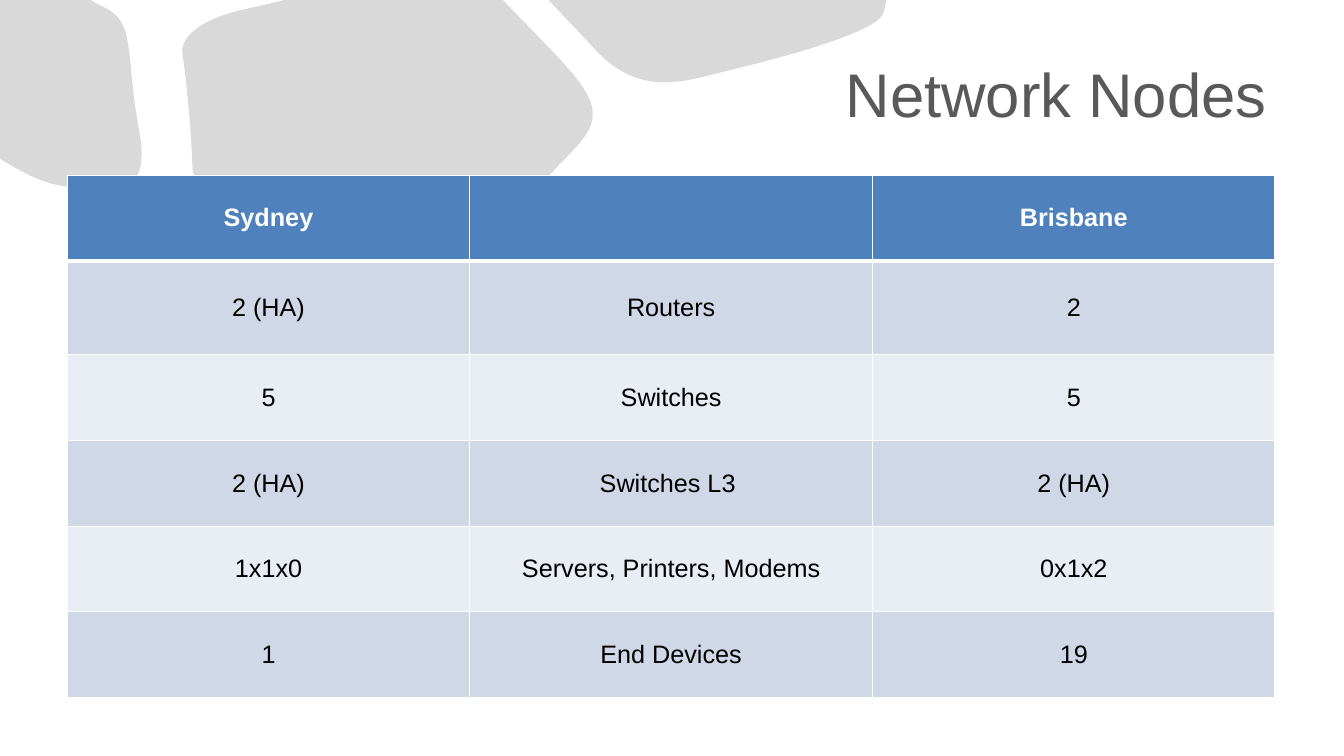
from lxml import etree
from pptx import Presentation, util as u
from pptx.dml.color import RGBColor
from pptx.enum import text
from pptx.oxml.ns import qn

COLORS = {"stone": "D9D9D9", "title": "595959", "header": "4F81BD", "white": "FFFFFF",
          "band": "D0D8E8", "pale": "E9EDF4", "body": "000000"}
UNITS = 1000  # outline units per inch

deck = Presentation()
deck.slide_width, deck.slide_height = u.Inches(13.33), u.Inches(7.5)
slide = deck.slides.add_slide(deck.slide_layouts[6])


def write(frame, words, size, color, align, bold=False):
    paragraph = frame.paragraphs[0]
    paragraph.alignment = align
    run = paragraph.add_run()
    run.text = words
    run.font.name, run.font.size, run.font.bold = "Arial", u.Pt(size), bold
    run.font.color.rgb = RGBColor.from_string(COLORS[color])


# Background stones: two numbers are a straight side, six are a curve
stones = [
    [(5.44, 0), (5.57, 0.14, 5.73, 0.3, 5.91, 0.5), (6.37, 0.98, 6.8, 0.8, 7.26, 0.69),
     (7.76, 0.57, 8.7, 0.32, 8.76, 0.13), (8.77, 0.1, 8.78, 0.06, 8.79, 0)],
    [(1.1, 0.11), (1.05, 0.08, 0.98, 0.05, 0.9, 0), (-0.03, 0), (-0.03, 1.56),
     (0.22, 1.7, 0.49, 1.89, 0.86, 1.85), (1.16, 1.82, 1.5, 1.97, 1.38, 1.29),
     (1.25, 0.62, 1.34, 0.27, 1.1, 0.11)],
    [(4.99, 0), (2.82, 0), (2.67, 0.04, 2.52, 0.07, 2.39, 0.1),
     (1.93, 0.21, 1.79, 0.4, 1.81, 0.53), (1.86, 0.86, 1.9, 1.37, 1.91, 1.66),
     (1.92, 1.91, 2.2, 2.01, 2.46, 2.11), (2.69, 2.2, 3.71, 2.54, 3.94, 2.62),
     (3.94, 2.62, 4.45, 2.85, 4.74, 2.54), (5.03, 2.22, 5.35, 1.83, 5.62, 1.56),
     (5.85, 1.32, 5.99, 1.16, 5.77, 0.85), (5.65, 0.66, 5.23, 0.26, 4.99, 0)],
]
for corners in stones:
    ends = [(round(c[-2] * UNITS), round(c[-1] * UNITS)) for c in corners]
    builder = slide.shapes.build_freeform(*ends[0], scale=u.Inches(1) / UNITS)
    builder.add_line_segments(ends[1:], close=True)
    stone = builder.convert_to_shape()
    stone.shadow.inherit = False
    stone.fill.solid()
    stone.fill.fore_color.rgb = RGBColor.from_string(COLORS["stone"])
    stone.line.fill.background()
    # Bend the curved sides
    left, top = min(x for x, y in ends), min(y for x, y in ends)
    sides = list(stone._element.iter(qn("a:lnTo")))
    for side, corner in zip(sides, corners[1:]):
        if len(corner) == 6:
            curve = etree.Element(qn("a:cubicBezTo"))
            for x, y in zip(corner[::2], corner[1::2]):
                etree.SubElement(curve, qn("a:pt"), x=str(round(x * UNITS) - left),
                                 y=str(round(y * UNITS) - top))
            side.getparent().replace(side, curve)

# Title
margin = deck.slide_width // 20
title = slide.shapes.add_textbox(margin, u.Inches(0.3), u.Inches(12), u.Inches(1.25))
title.text_frame.word_wrap = True
title.text_frame.vertical_anchor = text.MSO_ANCHOR.MIDDLE
write(title.text_frame, "Network Nodes", 44, "title", text.PP_ALIGN.RIGHT)

# Node table
nodes = [
    ("Sydney", "", "Brisbane"),
    ("2 (HA)", "Routers", "2"),
    ("5", "Switches", "5"),
    ("2 (HA)", "Switches L3 ", "2 (HA)"),
    ("1x1x0", "Servers, Printers, Modems", "0x1x2"),
    ("1", "End Devices", "19"),
]
row_heights = [0.85, 0.93, 0.85, 0.85, 0.85, 0.85]
table = slide.shapes.add_table(len(nodes), 3, margin, u.Inches(1.74), u.Inches(11.98),
                               u.Inches(sum(row_heights))).table
for row, (values, height) in enumerate(zip(nodes, row_heights)):
    table.rows[row].height = u.Inches(height)
    fill = "header" if row == 0 else ("pale", "band")[row % 2]
    for column, value in enumerate(values):
        cell = table.cell(row, column)
        cell.vertical_anchor = text.MSO_ANCHOR.MIDDLE
        # White rules, thicker below the header
        properties = cell._tc.get_or_add_tcPr()
        for edge in ("lnL", "lnR", "lnT", "lnB"):
            thick = (row, edge) in ((0, "lnB"), (1, "lnT"))
            rule = etree.SubElement(properties, qn(f"a:{edge}"), w=str(u.Pt(3 if thick else 1)))
            paint = etree.SubElement(rule, qn("a:solidFill"))
            etree.SubElement(paint, qn("a:srgbClr"), val=COLORS["white"])
        cell.fill.solid()
        cell.fill.fore_color.rgb = RGBColor.from_string(COLORS[fill])
        if value:
            write(cell.text_frame, value, 18, "body" if row else "white",
                  text.PP_ALIGN.CENTER, bold=row == 0)

deck.save("out.pptx")
